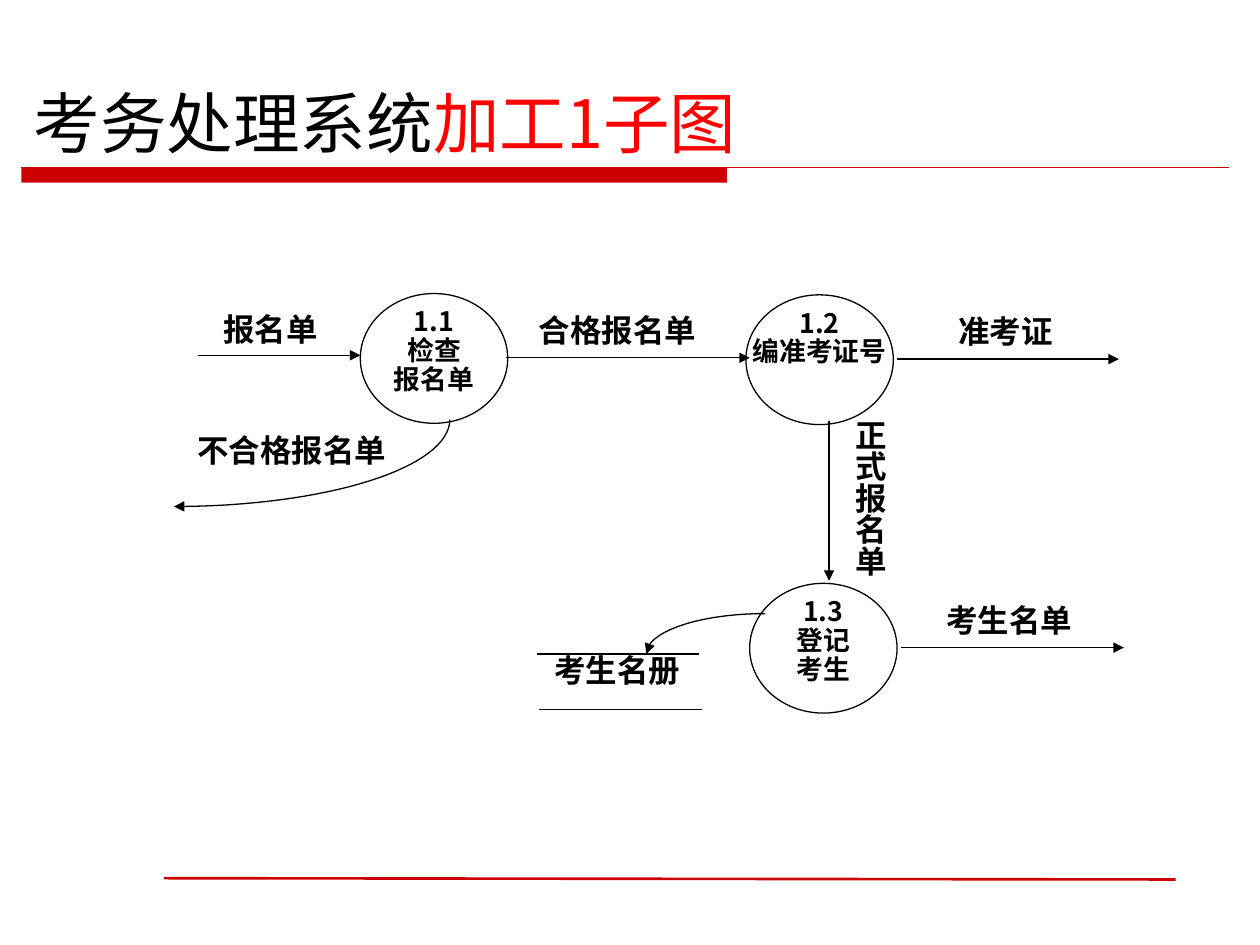
from math import cos, pi, sin

from lxml.etree import SubElement
from pptx import Presentation
from pptx.dml.color import RGBColor
from pptx.enum.shapes import MSO_CONNECTOR, MSO_SHAPE
from pptx.enum.text import MSO_ANCHOR, PP_ALIGN
from pptx.oxml.ns import qn
from pptx.util import Inches, Pt

FONT = "Noto Sans CJK SC"
BLACK, RED, BRIGHT = "000000", "CC0000", "FF0000"


def color(code):
    return RGBColor.from_string(code)


def stroke(shape, code=BLACK, width=0.75, arrow=False):
    shape.line.color.rgb = color(code)
    shape.line.width = Pt(width)
    if arrow:
        SubElement(shape.line._get_or_add_ln(), qn("a:tailEnd"), type="triangle")


def text(slide, box, rows, size=18, bold=True, align=PP_ALIGN.CENTER,
         anchor=MSO_ANCHOR.TOP, space=1.0, wrap=True, upright=False):
    frame = slide.shapes.add_textbox(*map(Inches, box)).text_frame
    frame.word_wrap = wrap
    frame.vertical_anchor = anchor
    if upright:
        frame._txBody.bodyPr.set("vert", "eaVert")
        frame.margin_left = frame.margin_right = Inches(0.05)
        frame.margin_top, frame.margin_bottom = Inches(0.16), Inches(0.1)
    for i, row in enumerate(rows):
        para = frame.add_paragraph() if i else frame.paragraphs[0]
        para.alignment = align
        para.line_spacing = space
        for words, code in row:
            run = para.add_run()
            run.text = words
            run.font.size = Pt(size)
            run.font.bold = bold
            run.font.name = FONT
            run.font.color.rgb = color(code)
            SubElement(run.font._element, qn("a:ea"), typeface=FONT)


def label(slide, box, words, **style):
    text(slide, box, [[(words, BLACK)]], **style)


def line(slide, start, end, **style):
    link = slide.shapes.add_connector(
        MSO_CONNECTOR.STRAIGHT, *map(Inches, start + end))
    stroke(link, **style)
    SubElement(link._element.spPr, qn("a:effectLst"))


def curve(slide, center, rx, ry, first, last, steps=32):
    points = []
    for i in range(steps + 1):
        angle = (first + (last - first) * i / steps) * pi / 180
        points.append((Inches(center[0] + rx * cos(angle)),
                       Inches(center[1] + ry * sin(angle))))
    maker = slide.shapes.build_freeform(*points[0])
    maker.add_line_segments(points[1:], close=False)
    shape = maker.convert_to_shape()
    shape.shadow.inherit = False
    shape.fill.background()
    stroke(shape, arrow=True)


def process(slide, left, top, rows):
    oval = slide.shapes.add_shape(
        MSO_SHAPE.OVAL, *map(Inches, (left, top, 1.17, 1.03)))
    oval.shadow.inherit = False
    oval.fill.background()
    stroke(oval)
    text(slide, (left - 0.09, top + 0.07, 1.35, 0.95),
         [[(row, BLACK)] for row in rows], size=15.3, space=0.9)


def header(slide):
    bar = slide.shapes.add_shape(
        MSO_SHAPE.RECTANGLE, *map(Inches, (0.17, 1.33, 5.6, 0.12)))
    bar.shadow.inherit = False
    bar.fill.solid()
    bar.fill.fore_color.rgb = color(RED)
    bar.line.fill.background()
    line(slide, (0.17, 1.33), (9.75, 1.33), code=RED)
    line(slide, (1.3, 6.97), (9.33, 6.98), code=RED, width=1.5)
    text(slide, (0.17, 0.6, 9.75, 0.73),
         [[("考务处理系统", BLACK), ("加工1子图", BRIGHT)]],
         size=38, bold=False, align=PP_ALIGN.LEFT, anchor=MSO_ANCHOR.BOTTOM)


def main():
    deck = Presentation()
    deck.slide_width, deck.slide_height = Inches(10), Inches(7.5)
    slide = deck.slides.add_slide(deck.slide_layouts[6])
    header(slide)

    process(slide, 2.86, 2.33, ["1.1", "检查", "报名单"])
    process(slide, 5.92, 2.34, ["1.2", "编准考证号"])
    process(slide, 5.95, 4.63, ["1.3", "登记", "考生"])

    flows = [
        ((1.57, 2.82), (2.86, 2.82), (1.49, 2.41, 1.31, 0.56), "报名单"),
        ((4.02, 2.84), (5.95, 2.84), (4.06, 2.42, 1.68, 0.56), "合格报名单"),
        ((7.12, 2.85), (8.88, 2.85), (7.14, 2.43, 1.68, 0.56), "准考证"),
        ((7.15, 5.14), (8.92, 5.14), (7.17, 4.72, 1.68, 0.56), "考生名单"),
    ]
    for start, end, box, words in flows:
        line(slide, start, end, arrow=True)
        label(slide, box, words)

    line(slide, (6.58, 3.34), (6.58, 4.61), arrow=True)
    label(slide, (6.28, 3.17, 0.83, 1.58), "正式报名单",
          align=PP_ALIGN.LEFT, upright=True)

    curve(slide, (1.38, 3.33), 2.19, 0.69, 0, 90)
    label(slide, (1.33, 3.37, 1.97, 0.57), "不合格报名单")

    curve(slide, (6.07, 5.19), 0.94, 0.32, 270, 180)
    line(slide, (4.26, 5.19), (5.55, 5.19))
    line(slide, (4.28, 5.63), (5.57, 5.63))
    label(slide, (4.24, 5.12, 1.32, 0.55), "考生名册")
    deck.save("out.pptx")


if __name__ == "__main__":
    main()
